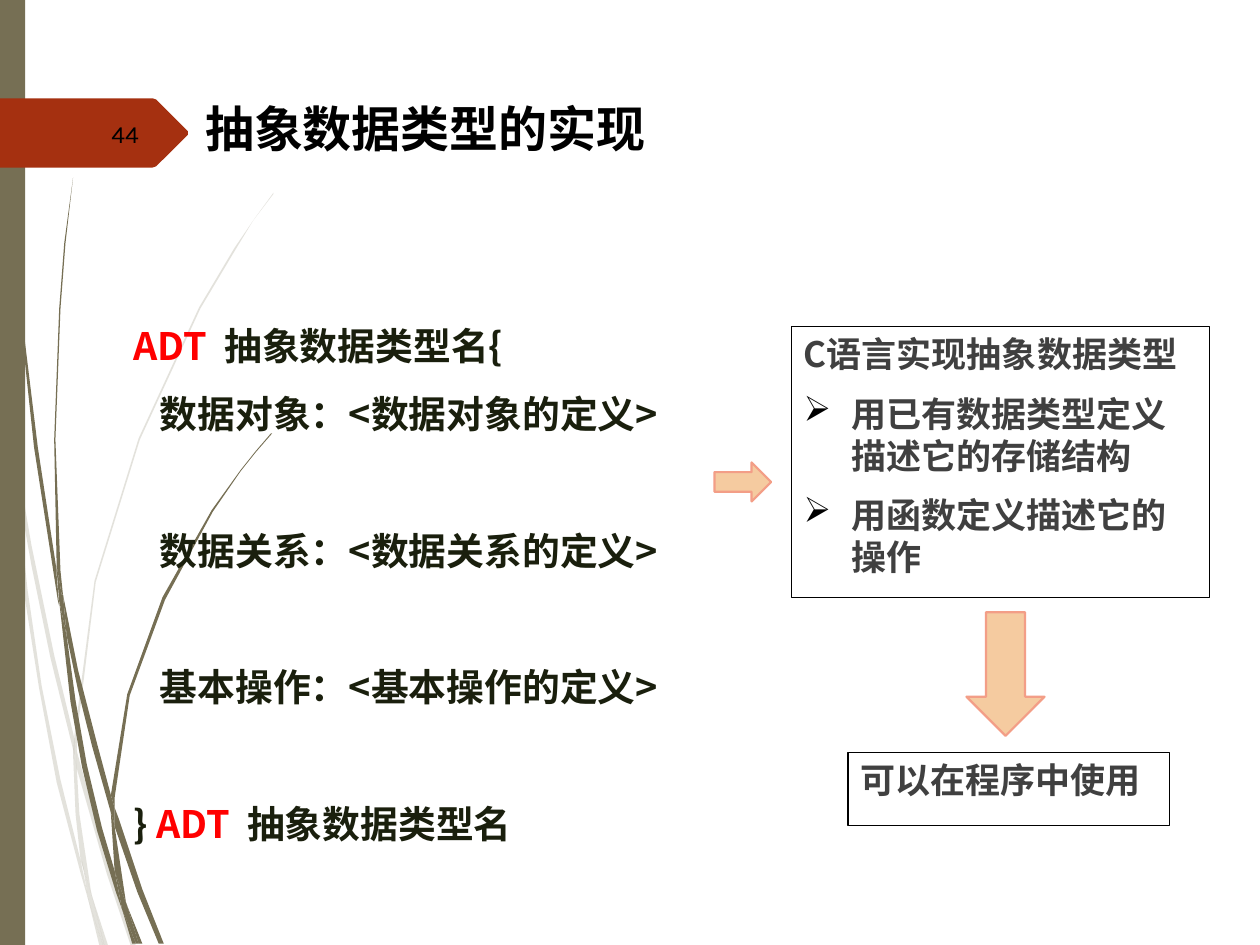
from lxml import etree
from pptx import Presentation
from pptx.dml.color import RGBColor
from pptx.enum.shapes import MSO_SHAPE as Preset
from pptx.enum.text import MSO_ANCHOR as Anchor, PP_ALIGN as Align
from pptx.oxml.ns import qn
from pptx.util import Inches, Pt

OLIVE, RUST, BLACK, GREY = "766F54", "A53010", "000000", "404040"
DARK, RED, PEACH, CORAL = "1A1F0D", "FF0000", "F5CBA0", "F39E87"
CJK_FONT = "Noto Sans CJK SC"

# Outlines of the grass blades, as x,y points in hundredths of an inch.
PALE_BLADES = [
    "8,350 6,322 0,282 0,299 7,344",
    "40,522 59,599 59,586 43,520 25,433 10,345 12,376 25,449",
    "64,607 61,596 61,610 85,694 104,751 108,751 88,692",
    "83,751 86,751 73,711",
    "64,683 48,619 33,544 22,469 12,376 8,350 19,470 31,546 45,621 64,693 70,714 69,707",
    "58,599 60,646 64,683 67,692 73,711 72,706 63,646 61,610 61,608",
    "61,584 76,462 111,349 159,245 187,198 201,175 217,154 217,153 201,175 186,197 "
    "158,244 110,348 75,461 59,584 59,586 61,596",
    "70,714 79,751 82,751",
    "61,608 61,610 61,596 59,586 58,599",
    "67,692 65,683 69,707 70,714 82,751 83,751 73,711",
]
DARK_BLADES = [
    "5,110 14,233 27,355 46,477 47,481 45,457 45,453 30,355 15,232 6,109 4,48 3,0 2,0 3,48",
    "73,592 88,645 88,633 88,631 77,590 62,532 50,472 53,505 62,548",
    "94,649 91,641 91,656 109,708 126,749 130,749 113,706",
    "91,691 81,657 69,607 60,556 53,505 47,477 56,557 65,608 77,659 92,708 97,722 96,717",
    "50,472 48,453 44,349 48,245 52,193 58,141 51,193 47,245 43,349 45,449 49,472",
    "110,749 113,749 101,719",
    "47,477 53,505 50,472 49,472 45,449 45,453",
    "91,633 103,552 131,476 169,406 191,374 203,359 216,344 215,344 203,358 191,373 "
    "168,405 129,474 101,551 88,631 91,641",
    "97,722 105,749 108,749",
    "88,645 91,691 96,706 101,719 100,716 91,656 90,651",
    "88,645 90,651 91,656 91,641 88,631 88,633",
    "96,706 91,691 96,717 97,722 108,749 110,749 101,719",
]
NUMBER_TAG = "149,107 124,132 121,133 0,133 0,78 121,78 124,79 149,104"


def paint(shape, fill=None, line=None, width=0.75):
    shape.shadow.inherit = False
    if fill:
        shape.fill.solid()
        shape.fill.fore_color.rgb = RGBColor.from_string(fill)
    else:
        shape.fill.background()
    if line:
        shape.line.color.rgb = RGBColor.from_string(line)
        shape.line.width = Pt(width)
    else:
        shape.line.fill.background()


def add_run(paragraph, text, size, color, font=CJK_FONT, bold=True, spacing=0):
    run = paragraph.add_run()
    run.text = text
    run.font.size, run.font.bold, run.font.name = Pt(size), bold, font
    run.font.color.rgb = RGBColor.from_string(color)
    properties = run._r.get_or_add_rPr()
    if font == CJK_FONT:
        etree.SubElement(properties, qn("a:ea"), typeface=font)
    if spacing:
        properties.set("spc", str(spacing * 100))


def add_text_box(slide, left, top, width, height):
    box = slide.shapes.add_textbox(*map(Inches, (left, top, width, height)))
    box.text_frame.word_wrap = True
    return box.text_frame


def next_paragraph(frame, index):
    return frame.add_paragraph() if index else frame.paragraphs[0]


def add_outline(shapes, points, color, opacity=100):
    start, *rest = [tuple(map(int, pair.split(","))) for pair in points.split()]
    builder = shapes.build_freeform(*start, scale=Inches(0.01))
    builder.add_line_segments(rest, close=True)
    shape = builder.convert_to_shape()
    paint(shape, color)
    if opacity < 100:
        fill_color = shape._element.spPr.find(qn("a:solidFill"))[0]
        etree.SubElement(fill_color, qn("a:alpha"), val=str(opacity * 1000))


def add_backdrop(slide):
    for blades, opacity in ((PALE_BLADES, 20), (DARK_BLADES, 100)):
        group = slide.shapes.add_group_shape()
        for points in blades:
            add_outline(group.shapes, points, OLIVE, opacity)
    bar = slide.shapes.add_shape(Preset.RECTANGLE, 0, 0, Inches(0.2), Inches(7.5))
    paint(bar, OLIVE)
    add_outline(slide.shapes, NUMBER_TAG, RUST)


def add_title(slide, left, top, width, height):
    frame = add_text_box(slide, left, top, width, height)
    add_run(frame.paragraphs[0], "抽象数据类型的实现", 28, BLACK, "Quicksand")


def add_slide_number(slide, left, top, width, height):
    frame = add_text_box(slide, left, top, width, height)
    frame.vertical_anchor = Anchor.MIDDLE
    paragraph = frame.paragraphs[0]
    paragraph.alignment = Align.RIGHT
    add_run(paragraph, "44", 14, BLACK, "Karla", bold=False)


def add_definition(slide, left, top, width, height):
    """Place the ADT pattern: an opening line, three indented parts, a closing line."""
    frame = add_text_box(slide, left, top, width, height)
    keyword, gap = ("ADT", RED), (" ", DARK, 5.5)
    lines = [[keyword, gap, ("抽象数据类型名{", DARK)]]
    lines += [[(f"{part}：<{part}的定义>", DARK)]
              for part in ("数据对象", "数据关系", "基本操作")]
    lines.append([("} ", DARK), keyword, gap, ("抽象数据类型名", DARK)])
    for index, runs in enumerate(lines):
        paragraph = next_paragraph(frame, index)
        paragraph.line_spacing = Pt(39)
        if index > 1:
            paragraph.space_before = Pt(39)
        indent = 0.4 if index in (0, len(lines) - 1) else 0.61
        paragraph._p.get_or_add_pPr().set("marL", str(Inches(indent)))
        for text, color, *spacing in runs:
            add_run(paragraph, text, 21.6, color, spacing=int(spacing[0]) if spacing else 0)


def add_bullet(paragraph, symbol):
    properties = paragraph._p.get_or_add_pPr()
    properties.set("marL", str(Inches(0.38)))
    properties.set("indent", str(-Inches(0.38)))
    bullet_color = etree.SubElement(properties, qn("a:buClr"))
    etree.SubElement(bullet_color, qn("a:srgbClr"), val=BLACK)
    etree.SubElement(properties, qn("a:buChar"), char=symbol)


def add_framed_text(slide, left, top, width, height, heading, bullets=()):
    box = slide.shapes.add_shape(Preset.RECTANGLE, *map(Inches, (left, top, width, height)))
    paint(box, line=BLACK)
    frame = box.text_frame
    frame.word_wrap = True
    frame.vertical_anchor = Anchor.TOP
    for index, text in enumerate([heading, *bullets]):
        paragraph = next_paragraph(frame, index)
        paragraph.alignment = Align.LEFT
        paragraph.line_spacing = Pt(24)
        if index:
            paragraph.space_before = Pt(10)
            add_bullet(paragraph, "➢")
        add_run(paragraph, text, 20, GREY)


def add_block_arrow(slide, left, top, width, height, rotation=0):
    arrow = slide.shapes.add_shape(Preset.RIGHT_ARROW,
                                   *map(Inches, (left, top, width, height)))
    arrow.rotation = rotation
    paint(arrow, PEACH, CORAL, 1.25)


def main():
    presentation = Presentation()
    presentation.slide_width, presentation.slide_height = Inches(10), Inches(7.5)
    slide = presentation.slides.add_slide(presentation.slide_layouts[6])
    add_backdrop(slide)
    add_title(slide, 1.53, 0.73, 7.33, 0.67)
    add_slide_number(slide, 0.56, 0.86, 0.64, 0.4)
    add_framed_text(slide, 6.28, 2.59, 3.32, 2.15, "C语言实现抽象数据类型",
                    ["用已有数据类型定义描述它的存储结构", "用函数定义描述它的操作"])
    add_definition(slide, 0.56, 2.33, 5.17, 2.89)
    add_block_arrow(slide, 5.67, 3.67, 0.45, 0.31)
    add_block_arrow(slide, 7.49, 5.04, 0.98, 0.62, rotation=90)
    add_framed_text(slide, 6.73, 5.97, 2.55, 0.58, "可以在程序中使用")
    presentation.save("out.pptx")


if __name__ == "__main__":
    main()
